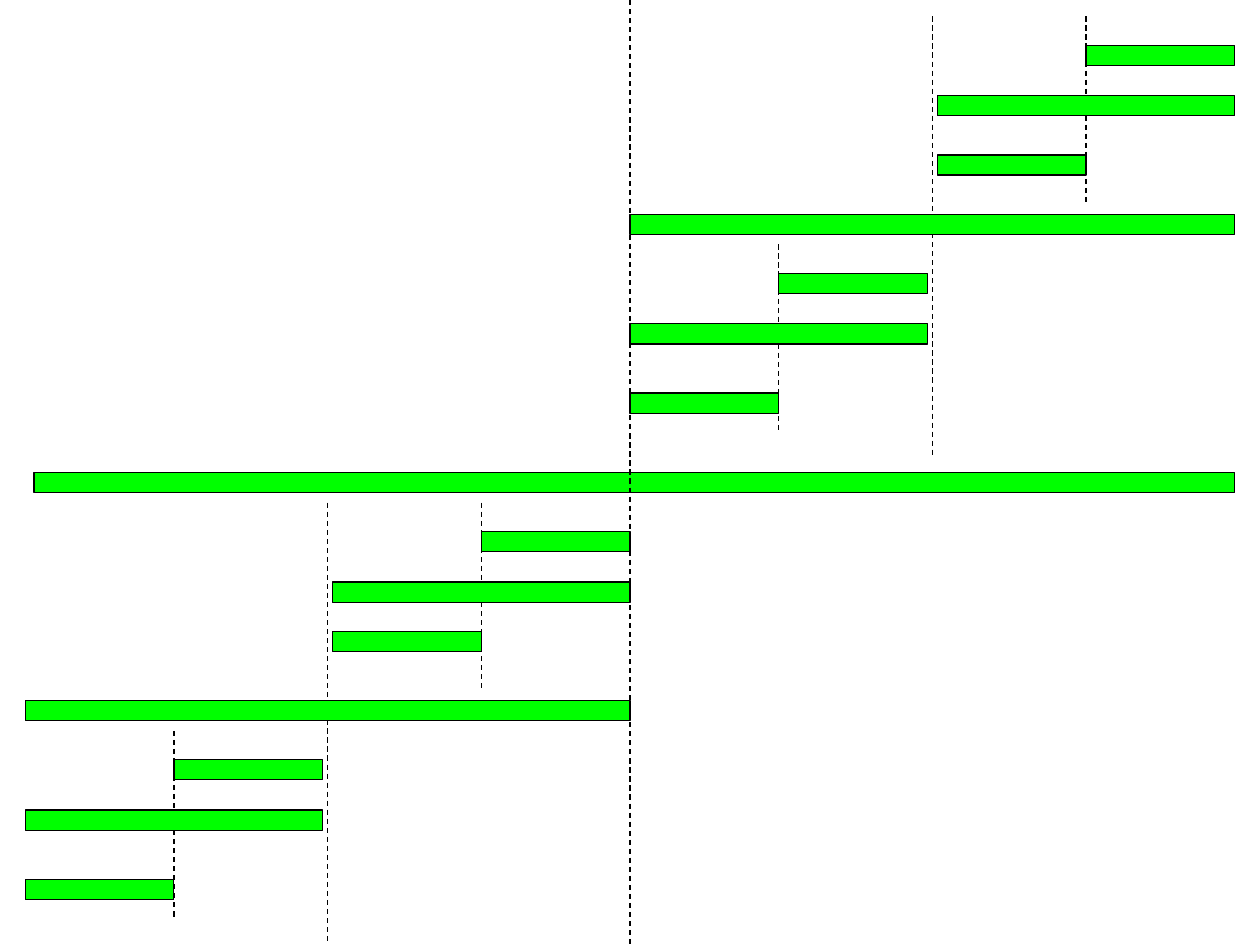
import pptx
import pptx.util
import pptx.dml.color
import pptx.enum.dml
import pptx.enum.shapes
import pptx.oxml.ns
import lxml.etree
from pptx.util import Inches

BAR_H = 0.16
QUARTER, PAIR, HALF = 1.18, 2.36, 4.8   # bar lengths
PAIR_X = 2.44                           # start of the right-hand pair
LOWER_Y = 1.81                          # start of the lower split in a half


def color(hex_string):
    return pptx.dml.color.RGBColor.from_string(hex_string)


def add_bar(shapes, x, y, w):
    s = shapes.add_shape(pptx.enum.shapes.MSO_SHAPE.RECTANGLE,
                         Inches(x), Inches(y), Inches(w), Inches(BAR_H))
    s.shadow.inherit = False
    s.fill.solid()
    s.fill.fore_color.rgb = color("00FF00")
    s.line.color.rgb = color("000000")
    s.line.width = pptx.util.Pt(0.75)


def add_divider(shapes, x, y, h):
    c = shapes.add_connector(pptx.enum.shapes.MSO_CONNECTOR.STRAIGHT,
                             Inches(x), Inches(y), Inches(x), Inches(y + h))
    c.line.color.rgb = color("000000")
    c.line.width = pptx.util.Pt(0.75)
    c.line.dash_style = pptx.enum.dml.MSO_LINE.DASH
    lxml.etree.SubElement(c._element.spPr, pptx.oxml.ns.qn("a:effectLst"))


def add_split(slide, bars, width, divider):
    """Group bars of one length with the dashed line that divides them."""
    shapes = slide.shapes.add_group_shape().shapes
    for x, y in bars:
        add_bar(shapes, x, y, width)
    add_divider(shapes, *divider)


def add_half(slide, left, top, right_low_bar):
    """Draw the two quarter splits and the pair split of one half."""
    lower = top + LOWER_Y
    # Quarter bars: (box left, box top, offset of the low bar)
    for x, y, low_bar in ((left, lower, 1.18),
                          (left + PAIR_X, top, right_low_bar)):
        add_split(slide, [(x + QUARTER, y + 0.23), (x, y + low_bar)],
                  QUARTER, (x + QUARTER, y, 1.49))
    # Pair bars
    add_split(slide, [(left, lower + 0.63), (left + PAIR_X, top + 0.63)],
              PAIR, (left + 2.4, top, 3.51))


def main():
    prs = pptx.Presentation()
    prs.slide_width, prs.slide_height = Inches(10), Inches(7.5)
    slide = prs.slides.add_slide(prs.slide_layouts[6])

    # Full-length bar
    add_bar(slide.shapes, 0.27, 3.75, 9.53)

    # Lower-left and upper-right halves
    add_half(slide, 0.2, 3.99, 1.02)
    add_half(slide, 5, 0.13, 1.1)

    # Half bars and the centre line
    add_split(slide, [(0.2, 5.56), (5, 1.7)], HALF, (5, 0, 7.5))

    prs.save("out.pptx")


if __name__ == "__main__":
    main()
